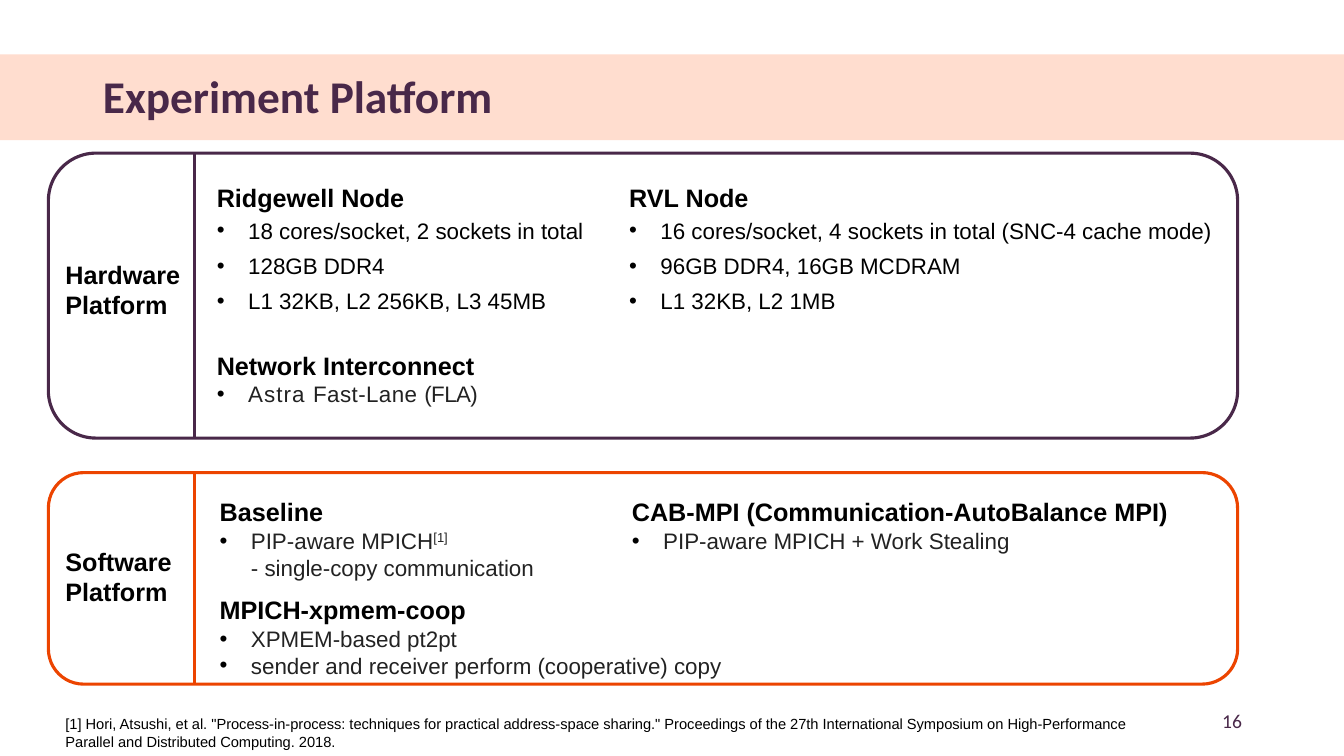
from lxml import etree
from pptx import Presentation
from pptx.dml.color import RGBColor
from pptx.enum import shapes, text
from pptx.oxml import ns
from pptx.util import Cm, Pt

HUES = {"band": "FFDDCF", "plum": "492849", "red": "EC4400",
        "black": "000000", "gray": "222222"}

HARD = [
    [("Ridgewell Node", [
        "18 cores/socket, 2 sockets in total",
        "128GB DDR4",
        "L1 32KB, L2 256KB, L3 45MB"], 3, "black"),
     ("Network Interconnect", [
         [("Astra ", {"spc": "80"}), ("Fast-Lane ", {"spc": "30"}),
          ("(FLA)", {"spc": "-40"})]], 0, "gray")],
    [("RVL Node", [
        "16 cores/socket, 4 sockets in total (SNC-4 cache mode)",
        "96GB DDR4, 16GB MCDRAM",
        "L1 32KB, L2 1MB"], 3, "black")],
]
SOFT = [
    [("Baseline", [
        [("PIP-aware MPICH", {}), ("[1]", {"baseline": "30000"}),
         ("\n", {}), ("- single-copy communication", {})]], 0, "gray"),
     ("MPICH-xpmem-coop", [
         "XPMEM-based pt2pt",
         "sender and receiver perform (cooperative) copy"], 0, "gray")],
    [("CAB-MPI (Communication-AutoBalance MPI)", [
        "PIP-aware MPICH + Work Stealing"], 0, "gray")],
]


def tint(name):
    return RGBColor.from_string(HUES[name])


def put(para, words, size, hue="black", bold=False, face="Arial", attrs=None):
    run = para.add_run()
    run.text = words
    font = run.font
    font.name, font.size, font.bold = face, Pt(size), bold
    font.color.rgb = tint(hue)
    for key, val in (attrs or {}).items():
        font._element.set(key, val)


def place(shape, box):
    shape.left, shape.top, shape.width, shape.height = map(Cm, box)


def label(slide, box, words, size, **style):
    frame = slide.shapes.add_textbox(*map(Cm, box)).text_frame
    frame.word_wrap = True
    put(frame.paragraphs[0], words, size, **style)
    return frame


def bullet(para, char=None):
    props = para._p.get_or_add_pPr()
    props.set("marL", str(Cm(0.79) if char else 0))
    props.set("indent", str(-Cm(0.79) if char else 0))
    if char is None:
        etree.SubElement(props, ns.qn("a:buNone"))
        return
    hue = etree.SubElement(props, ns.qn("a:buClr"))
    etree.SubElement(hue, ns.qn("a:srgbClr"), val=HUES["black"])
    etree.SubElement(props, ns.qn("a:buFont"), typeface="Arial")
    etree.SubElement(props, ns.qn("a:buChar"), char=char)


def fill_list(holder, box, groups, gap):
    place(holder, box)
    frame = holder.text_frame
    frame.word_wrap = True
    frame.auto_size = text.MSO_AUTO_SIZE.NONE
    frame.vertical_anchor = text.MSO_ANCHOR.TOP
    para = frame.paragraphs[0]
    for index, (head, items, pad, hue) in enumerate(groups):
        if index:
            para = frame.add_paragraph()
        para.space_before, para.space_after = Pt(gap if index else 0), Pt(0)
        bullet(para)
        put(para, head, 18, bold=True)
        for item in items:
            para = frame.add_paragraph()
            para.space_before = para.space_after = Pt(pad)
            bullet(para, "•")
            runs = [(item, {})] if isinstance(item, str) else item
            for words, attrs in runs:
                if words == "\n":
                    para.add_line_break()
                else:
                    put(para, words, 16, hue, attrs=attrs)


def panel(slide, box, hue, name, drop, holders, lists, inset, gap):
    left, top, width, height = box
    frame = slide.shapes.add_shape(
        shapes.MSO_SHAPE.ROUNDED_RECTANGLE, *map(Cm, box))
    frame.shadow.inherit = False
    frame.fill.background()
    edge = left + 3.68
    rule = slide.shapes.add_connector(
        shapes.MSO_CONNECTOR.STRAIGHT,
        Cm(edge), Cm(top), Cm(edge), Cm(top + height))
    etree.SubElement(rule._element.spPr, ns.qn("a:effectLst"))
    for shape in (frame, rule):
        shape.line.color.rgb = tint(hue)
        shape.line.width = Pt(2.25)
    label(slide, (left + 0.18, top + drop, 3.66, 1.8), name, 18, bold=True)
    dx, dy = inset
    for col, (holder, groups) in enumerate(zip(holders, lists)):
        spot = (left + dx + col * 10.39, top + dy, 15.5, height - dy)
        fill_list(holder, spot, groups, gap)


def header(slide, box):
    left, top, width, height = box
    band = slide.shapes.add_shape(shapes.MSO_SHAPE.RECTANGLE, *map(Cm, box))
    band.shadow.inherit = False
    band.fill.solid()
    band.fill.fore_color.rgb = tint("band")
    band.line.fill.background()
    slide.shapes._spTree.insert(2, band._element)
    title = slide.shapes.title
    place(title, (left + 2.34, top + 0.46, 29.21, 1.32))
    frame = title.text_frame
    frame.auto_size = text.MSO_AUTO_SIZE.NONE
    frame.vertical_anchor = text.MSO_ANCHOR.MIDDLE
    para = frame.paragraphs[0]
    para.alignment = text.PP_ALIGN.LEFT
    para.line_spacing = 0.9
    put(para, "Experiment Platform", 32.4, "plum", True, "Calibri")


def footer(slide, box):
    left, top, width, height = box
    label(slide, (left, top + 0.25, 28.32, 1.14),
          '[1] Hori, Atsushi, et al. "Process-in-process: techniques for '
          'practical address-space sharing." Proceedings of the 27th '
          'International Symposium on High-Performance Parallel and '
          'Distributed Computing. 2018.', 10.5)
    frame = label(slide, (left + width - 7.62, top, 7.62, 1.02),
                  "16", 14, hue="plum", face="Calibri")
    frame.vertical_anchor = text.MSO_ANCHOR.MIDDLE
    frame.paragraphs[0].alignment = text.PP_ALIGN.RIGHT


def main():
    deck = Presentation()
    deck.slide_width, deck.slide_height = Cm(33.87), Cm(19.05)
    slide = deck.slides.add_slide(deck.slide_layouts[4])
    holders = [slide.placeholders[index] for index in range(1, 5)]
    header(slide, (0, 1.37, 33.87, 2.16))
    panel(slide, (1.22, 3.86, 29.97, 7.18), "plum", "Hardware Platform", 2.54,
          holders[:2], HARD, (3.99, 0.61), 22.5)
    panel(slide, (1.22, 11.91, 29.97, 5.33), "red", "Software Platform", 1.73,
          holders[2:], SOFT, (4.06, 0.48), 10)
    footer(slide, (1.4, 17.65, 30.15, 1.4))
    deck.save("out.pptx")


if __name__ == "__main__":
    main()
